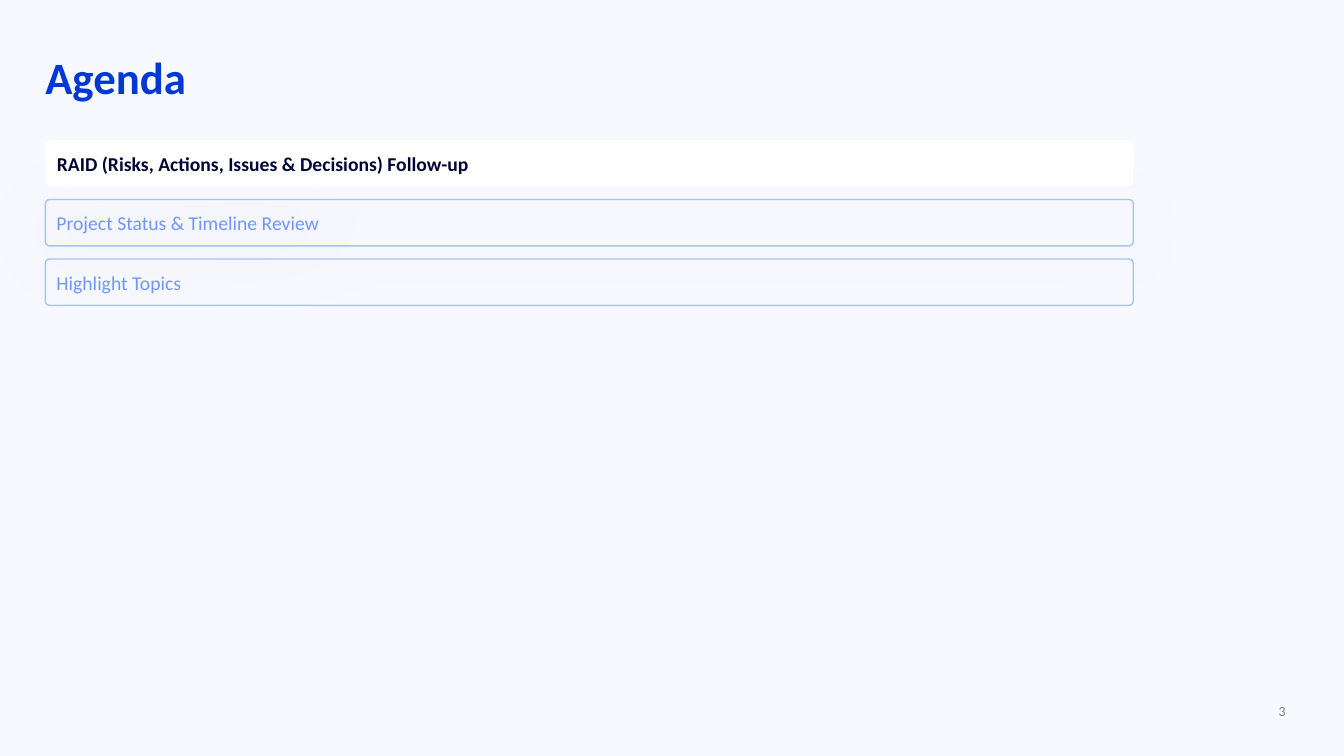
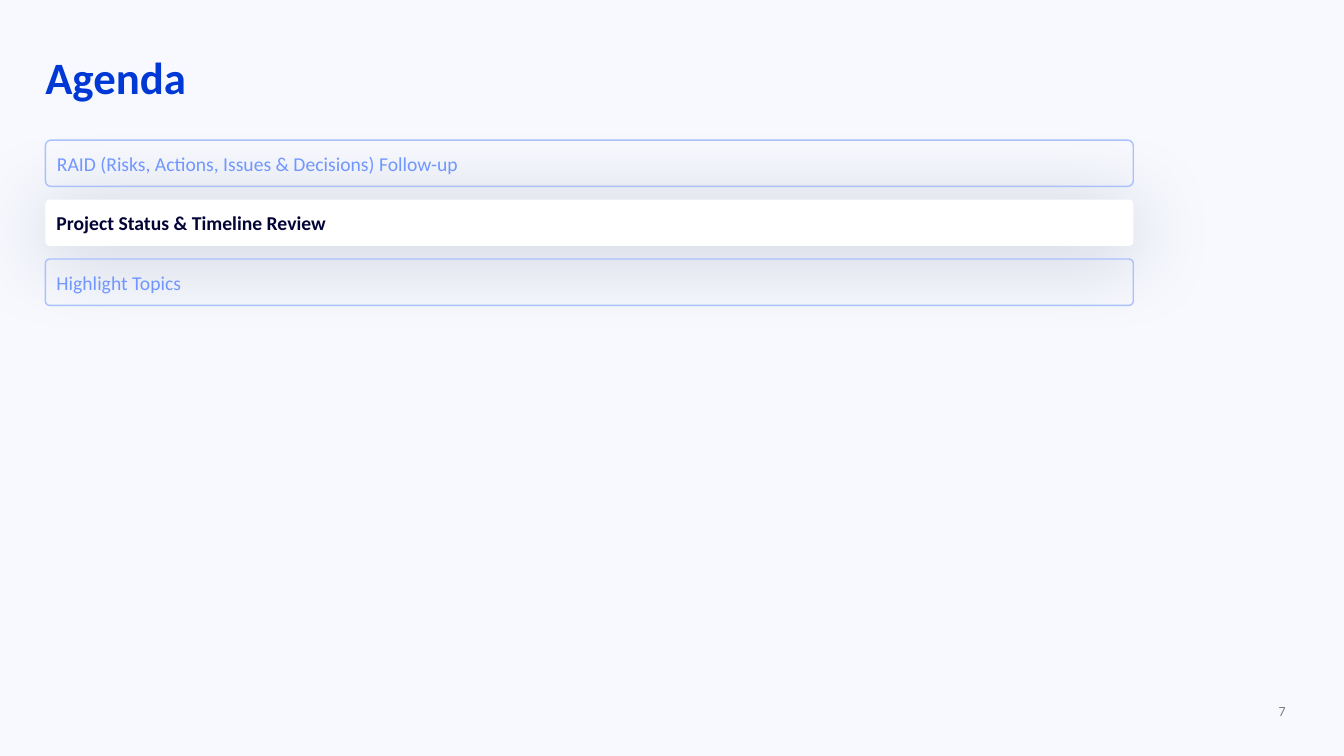
import dataclasses
import typing

import lxml.etree
import pptx
import pptx.dml.color
import pptx.enum.shapes
import pptx.enum.text
import pptx.oxml.ns
import pptx.util

Inches = pptx.util.Inches
Pt = pptx.util.Pt
Align = pptx.enum.text.PP_ALIGN
Anchor = pptx.enum.text.MSO_ANCHOR
Fit = pptx.enum.text.MSO_AUTO_SIZE

HUES = {
    "page": "F7F9FF",
    "title": "0038D5",
    "number": "808080",
    "active": "FFFFFF",
    "ink": "030436",
    "muted": "7197FF",
    "edge": "AAC1FF",
}
LEFT = 0.45
TOP = 1.39
WIDTH = 10.79
HEIGHT = 0.46
STEP = 0.59


@dataclasses.dataclass(frozen=True)
class Topic:
    row: int
    text: str
    round: float = 0.09
    shade: bool = False


@dataclasses.dataclass(frozen=True)
class Page:
    number: int
    active: int


TOPICS = [
    Topic(1, "Project Status & Timeline Review", shade=True),
    Topic(0, "RAID (Risks, Actions, Issues & Decisions) Follow-up", round=0.12),
    Topic(2, "Highlight Topics"),
]
PAGES = [Page(3, 0), Page(7, 1)]


def color(name: str) -> pptx.dml.color.RGBColor:
    return pptx.dml.color.RGBColor.from_string(HUES[name])


def apply(target: typing.Any, values: dict[str, typing.Any]) -> None:
    for name, value in values.items():
        setattr(target, name, value)


def write(shape: typing.Any, text: str, size: int, hue: str, bold: bool = False,
          align: Align = Align.LEFT, frame: dict[str, typing.Any] | None = None) -> None:
    body = shape.text_frame
    body.text = text
    base = {"word_wrap": True, "auto_size": Fit.NONE, "vertical_anchor": Anchor.MIDDLE}
    apply(body, base | (frame or {}))
    line = body.paragraphs[0]
    line.alignment = align
    font = line.runs[0].font
    apply(font, {"name": "Calibri", "size": Pt(size), "bold": bold})
    font.color.rgb = color(hue)


def add_shade(shape: typing.Any) -> None:
    tag = pptx.oxml.ns.qn
    group = shape._element.spPr.find(tag("a:effectLst"))
    cast = lxml.etree.SubElement(
        group, tag("a:outerShdw"), blurRad=str(Pt(60)), dist=str(Pt(6)),
        dir="5400000", algn="t", rotWithShape="0")
    tint = lxml.etree.SubElement(cast, tag("a:srgbClr"), val=HUES["ink"])
    lxml.etree.SubElement(tint, tag("a:alpha"), val="20000")


def add_topic(slide: typing.Any, topic: Topic, active: bool) -> None:
    bar = slide.shapes.add_shape(
        pptx.enum.shapes.MSO_SHAPE.ROUNDED_RECTANGLE, Inches(LEFT),
        Inches(TOP + topic.row * STEP), Inches(WIDTH), Inches(HEIGHT))
    bar.adjustments[0] = topic.round
    bar.shadow.inherit = False
    if active:
        bar.fill.solid()
        bar.fill.fore_color.rgb = color("active")
        bar.line.fill.background()
    else:
        bar.fill.background()
        bar.line.color.rgb = color("edge")
        bar.line.width = Pt(1)
    if topic.shade:
        add_shade(bar)
    write(bar, topic.text, 14, "ink" if active else "muted", active)


def add_page(deck: typing.Any, page: Page) -> None:
    slide = deck.slides.add_slide(deck.slide_layouts.get_by_name("Title Only"))
    title = slide.shapes.title
    apply(title, {"left": Inches(LEFT), "top": Inches(0.44),
                  "width": Inches(12.4), "height": Inches(0.64)})
    write(title, "Agenda", 32, "title", True,
          frame={"margin_left": 0, "vertical_anchor": Anchor.TOP})
    number = slide.shapes.add_textbox(
        Inches(9.85), Inches(6.92), Inches(3), Inches(0.27))
    write(number, str(page.number), 10, "number", align=Align.RIGHT)
    for topic in TOPICS:
        add_topic(slide, topic, topic.row == page.active)


def main() -> None:
    deck = pptx.Presentation()
    apply(deck, {"slide_width": Inches(13.33), "slide_height": Inches(7.5)})
    fill = deck.slide_master.background.fill
    fill.solid()
    fill.fore_color.rgb = color("page")
    for page in PAGES:
        add_page(deck, page)
    deck.save("out.pptx")


if __name__ == "__main__":
    main()
